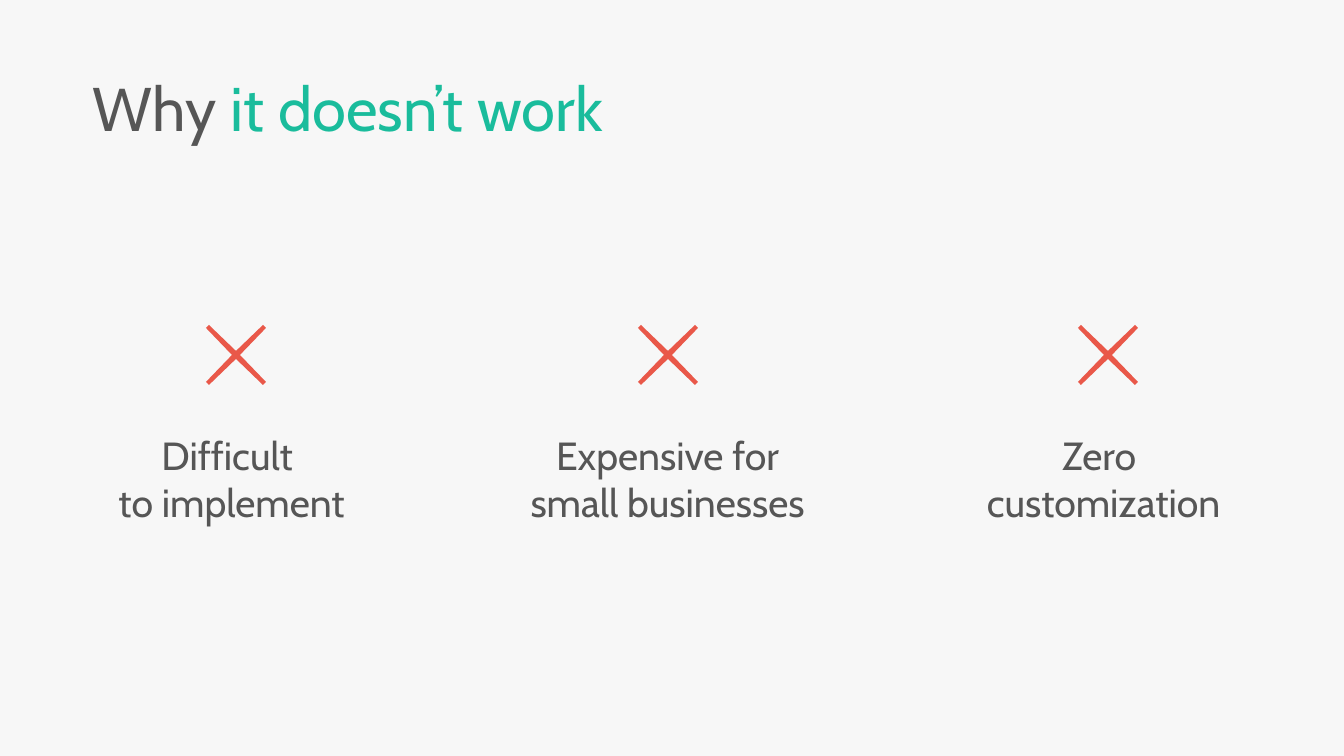
from dataclasses import dataclass

import pptx
import pptx.dml.color
import pptx.enum.text
import pptx.util


@dataclass(frozen=True)
class Theme:
    font: str = "Cabin"
    background: str = "F7F7F7"
    ink: str = "565656"
    accent: str = "1ABC9C"
    cross: str = "E95849"
    title_size: int = 44
    label_size: int = 28


def rgb(value):
    return pptx.dml.color.RGBColor.from_string(value)


class SlideBuilder:
    EMU_PER_PX = 914400 / 100.8

    def __init__(self, presentation, theme):
        self.theme = theme
        self.slide = presentation.slides.add_slide(presentation.slide_layouts[6])
        background = self.slide.background.fill
        background.solid()
        background.fore_color.rgb = rgb(theme.background)

    @classmethod
    def px(cls, length):
        return pptx.util.Emu(round(length * cls.EMU_PER_PX))

    def text(self, left, top, width, height, parts, size, centered=False, line_spacing=None):
        """Add one paragraph from (wording, colour) parts."""
        box = self.slide.shapes.add_textbox(*map(self.px, (left, top, width, height)))
        frame = box.text_frame
        frame.word_wrap = True
        frame.margin_left = 0
        paragraph = frame.paragraphs[0]
        paragraph.line_spacing = line_spacing
        if centered:
            paragraph.alignment = pptx.enum.text.PP_ALIGN.CENTER
        for wording, color in parts:
            # A vertical tab becomes a line break within the paragraph
            first_new = len(paragraph.runs)
            if first_new:
                paragraph.add_run().text = wording
            else:
                paragraph.text = wording
            for run in paragraph.runs[first_new:]:
                run.font.name = self.theme.font
                run.font.size = pptx.util.Pt(size)
                run.font.color.rgb = rgb(color)

    def cross(self, center_x, center_y):
        """Turn one arm through four quarters to outline the cross."""
        arm = [(30, -27), (27, -30), (0, -4)]
        points = []
        for _ in range(4):
            points += arm
            arm = [(y, -x) for x, y in arm]
        corners = [(self.px(center_x + x), self.px(center_y + y)) for x, y in points]
        outline = self.slide.shapes.build_freeform(*corners[0])
        outline.add_line_segments(corners[1:], close=True)
        shape = outline.convert_to_shape()
        shape.shadow.inherit = False
        shape.fill.solid()
        shape.fill.fore_color.rgb = rgb(self.theme.cross)
        shape.line.fill.background()


def main():
    presentation = pptx.Presentation()
    presentation.slide_width = SlideBuilder.px(1344)
    presentation.slide_height = SlideBuilder.px(756)
    theme = Theme()
    builder = SlideBuilder(presentation, theme)

    # Title
    title = [("Why ", theme.ink), ("it doesn’t work", theme.accent)]
    builder.text(93, 73, 574, 144, title, theme.title_size, line_spacing=0.9)

    # Reasons: a cross above each label
    reasons = [
        ("Difficult \vto implement", 236),
        ("Expensive for small businesses", 668),
        ("Zero \vcustomization", 1108),
    ]
    for column, (label, cross_x) in enumerate(reasons):
        builder.text(93 + 436 * column, 426, 287, 105, [(label, theme.ink)],
                     theme.label_size, centered=True)
        builder.cross(cross_x, 355)

    presentation.save("out.pptx")


if __name__ == "__main__":
    main()
